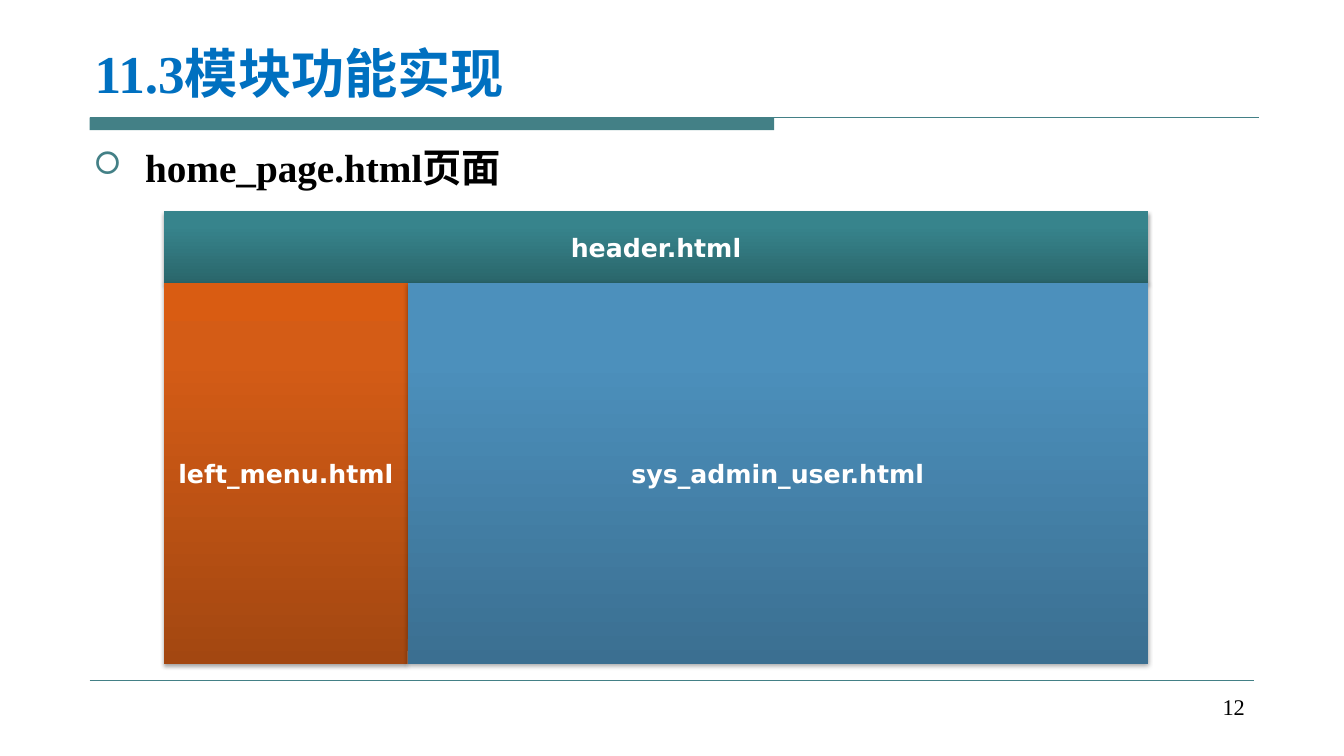
"""Build the slide that shows the frame layout of home_page.html."""
from copy import deepcopy
from dataclasses import dataclass

from lxml.etree import SubElement
from pptx import Presentation
from pptx.dml.color import RGBColor
from pptx.enum.shapes import MSO_CONNECTOR, MSO_SHAPE
from pptx.enum.text import MSO_ANCHOR, PP_ALIGN
from pptx.oxml.ns import qn
from pptx.slide import Slide
from pptx.text.text import _Paragraph as Paragraph
from pptx.util import Pt


@dataclass(frozen=True)
class Theme:
    teal: str = "438086"
    title: str = "0070C0"
    ink: str = "000000"
    white: str = "FFFFFF"
    header: tuple[str, ...] = ("2A666B", "37848C", "36868E")
    menu: tuple[str, ...] = ("A34711", "D45C16", "D95C12")
    content: tuple[str, ...] = ("3B6F91", "4C90BC", "4A91BF")
    stops: tuple[float, ...] = (0, 0.8, 1)
    serif: str = "Times New Roman"
    sans: str = "DejaVu Sans"
    title_size: float = 38
    body_size: float = 28
    panel_size: float = 18
    number_size: float = 16


@dataclass(frozen=True)
class Area:
    left: float
    top: float
    width: float
    height: float

    def lengths(self) -> tuple[Pt, Pt, Pt, Pt]:
        return Pt(self.left), Pt(self.top), Pt(self.width), Pt(self.height)


@dataclass(frozen=True)
class Label:
    text: str
    area: Area
    size: float
    color: str
    bold: bool = True
    anchor: MSO_ANCHOR = MSO_ANCHOR.TOP
    align: PP_ALIGN = PP_ALIGN.LEFT


@dataclass(frozen=True)
class Panel:
    text: str
    area: Area
    colors: tuple[str, ...]


@dataclass(frozen=True)
class Rule:
    left: float
    right: float
    top: float
    weight: float


THEME = Theme()
PANEL_LEFT, PANEL_RIGHT, PANEL_SPLIT = 117.2, 820, 291.2
HEADER_TOP, PAGE_TOP, PANEL_BOTTOM = 151, 202, 474
RULE_LEFT, RULE_TOP = 64, 84
BAR = Area(RULE_LEFT, RULE_TOP, 489, 9)

RULES = (
    Rule(RULE_LEFT, 899.3, RULE_TOP, 0.75),
    Rule(RULE_LEFT, 895.7, 486, 0.25),
)
TITLE = Label("11.3模块功能实现", Area(60.5, 18, 840, 60), THEME.title_size,
              THEME.title, anchor=MSO_ANCHOR.BOTTOM)
BODY = Label("home_page.html页面", Area(59.8, 95.8, 840, 378), THEME.body_size, THEME.ink)
NUMBER = Label("12", Area(688.3, 491.8, 208, 37.4), THEME.number_size, THEME.ink,
               bold=False, align=PP_ALIGN.RIGHT)
PANELS = (
    Panel("header.html",
          Area(PANEL_LEFT, HEADER_TOP, PANEL_RIGHT - PANEL_LEFT, PAGE_TOP - HEADER_TOP),
          THEME.header),
    Panel("left_menu.html",
          Area(PANEL_LEFT, PAGE_TOP, PANEL_SPLIT - PANEL_LEFT, PANEL_BOTTOM - PAGE_TOP),
          THEME.menu),
    Panel("sys_admin_user.html",
          Area(PANEL_SPLIT, PAGE_TOP, PANEL_RIGHT - PANEL_SPLIT, PANEL_BOTTOM - PAGE_TOP),
          THEME.content),
)


def format_text(para: Paragraph, text: str, face: str, size: float, color: str,
                bold: bool) -> None:
    para.text = text
    for span in para.runs:
        span.font.name = face
        span.font.size = Pt(size)
        span.font.bold = bold
        span.font.color.rgb = RGBColor.from_string(color)


def add_label(page: Slide, label: Label) -> Paragraph:
    box = page.shapes.add_textbox(*label.area.lengths())
    box.text_frame.word_wrap = True
    box.text_frame.vertical_anchor = label.anchor
    para = box.text_frame.paragraphs[0]
    para.alignment = label.align
    format_text(para, label.text, THEME.serif, label.size, label.color, label.bold)
    return para


def add_bullet(para: Paragraph) -> None:
    para.line_spacing = 1.1
    para.space_before = Pt(5.6)
    properties = para._p.get_or_add_pPr()
    indent = Pt(36.8)
    properties.set("marL", str(indent))
    properties.set("indent", str(-indent))
    color = SubElement(properties, qn("a:buClr"))
    SubElement(color, qn("a:srgbClr"), val=THEME.teal)
    SubElement(properties, qn("a:buSzPct"), val="80000")
    SubElement(properties, qn("a:buFont"), typeface="Wingdings")
    SubElement(properties, qn("a:buChar"), char="□")


def add_bar(page: Slide, area: Area) -> None:
    bar = page.shapes.add_shape(MSO_SHAPE.RECTANGLE, *area.lengths())
    bar.shadow.inherit = False
    bar.fill.solid()
    bar.fill.fore_color.rgb = RGBColor.from_string(THEME.teal)
    bar.line.fill.background()


def add_rule(page: Slide, rule: Rule) -> None:
    line = page.shapes.add_connector(MSO_CONNECTOR.STRAIGHT, Pt(rule.left), Pt(rule.top),
                                     Pt(rule.right), Pt(rule.top))
    line.line.color.rgb = RGBColor.from_string(THEME.teal)
    line.line.width = Pt(rule.weight)
    SubElement(line._element.spPr, qn("a:effectLst"))


def add_panel(page: Slide, panel: Panel) -> None:
    box = page.shapes.add_shape(MSO_SHAPE.RECTANGLE, *panel.area.lengths())
    box.line.fill.background()
    box.fill.gradient()
    box.fill.gradient_angle = 90
    properties = box._element.spPr
    stop_list = properties.find(f".//{qn('a:gsLst')}")
    stop_list.insert(1, deepcopy(stop_list[0]))
    for stop, position, color in zip(box.fill.gradient_stops, THEME.stops, panel.colors):
        stop.position = position
        stop.color.rgb = RGBColor.from_string(color)
    box.shadow.inherit = False
    shadow = SubElement(properties.find(qn("a:effectLst")), qn("a:outerShdw"),
                        blurRad=str(Pt(3.1)), dist=str(Pt(1.8)), dir="5400000",
                        rotWithShape="0")
    shade = SubElement(shadow, qn("a:srgbClr"), val=THEME.ink)
    SubElement(shade, qn("a:alpha"), val="35000")
    box.text_frame.word_wrap = True
    box.text_frame.vertical_anchor = MSO_ANCHOR.MIDDLE
    para = box.text_frame.paragraphs[0]
    para.alignment = PP_ALIGN.CENTER
    format_text(para, panel.text, THEME.sans, THEME.panel_size, THEME.white, True)


def main() -> None:
    deck = Presentation()
    deck.slide_width, deck.slide_height = Pt(960), Pt(540)
    page = deck.slides.add_slide(deck.slide_layouts[6])
    add_bar(page, BAR)
    for rule in RULES:
        add_rule(page, rule)
    add_label(page, TITLE)
    add_bullet(add_label(page, BODY))
    add_label(page, NUMBER)
    for panel in PANELS:
        add_panel(page, panel)
    deck.save("out.pptx")


if __name__ == "__main__":
    main()
